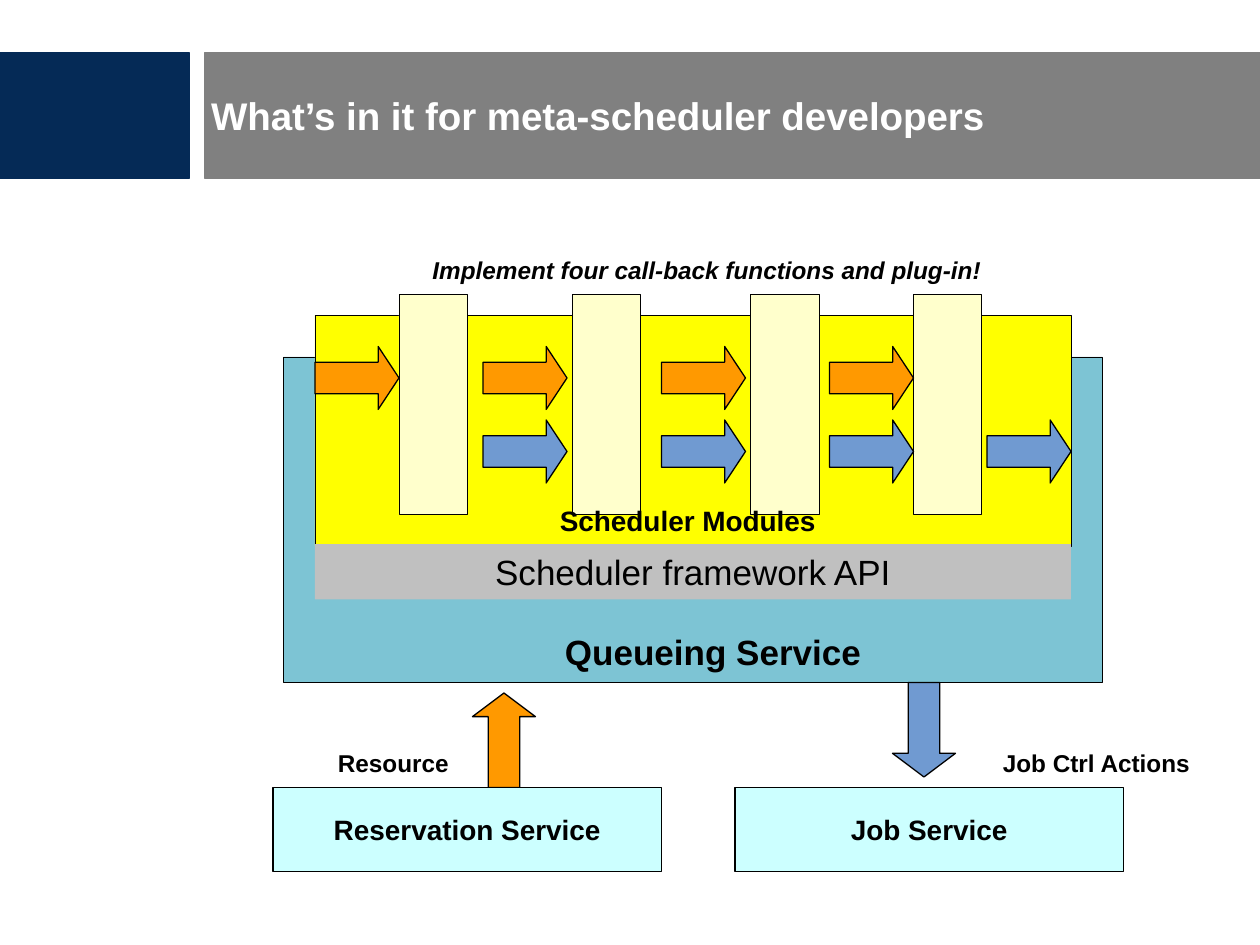
from pptx import Presentation
from pptx.dml.color import RGBColor
from pptx.enum.shapes import MSO_SHAPE
from pptx.enum.text import MSO_ANCHOR, MSO_AUTO_SIZE, PP_ALIGN
from pptx.util import Pt

RECT, RIGHT = MSO_SHAPE.RECTANGLE, MSO_SHAPE.RIGHT_ARROW
UP, DOWN = MSO_SHAPE.UP_ARROW, MSO_SHAPE.DOWN_ARROW
LEFT, CENTER = PP_ALIGN.LEFT, PP_ALIGN.CENTER
TOP, MIDDLE = MSO_ANCHOR.TOP, MSO_ANCHOR.MIDDLE

NAVY, GRAY, WHITE, BLACK = "052A56", "808080", "FFFFFF", "000000"
TEAL, YELLOW, CREAM, SILVER = "7DC4D4", "FFFF00", "FFFFCC", "C0C0C0"
ORANGE, BLUE, CYAN = "FF9900", "709AD1", "CCFFFF"

# Content: positions and sizes in points
TITLE = "What’s in it for meta-scheduler developers"
MODULE_LEFTS = [228, 327, 429, 522]
FLOWS = [  # colour, top, lefts of the arrows
    (ORANGE, 198, [180, 276, 378, 474]),
    (BLUE, 240, [276, 378, 474, 564]),
]
SERVICE_ARROWS = [(UP, ORANGE, 270, 396), (DOWN, BLUE, 510, 390)]
SERVICES = [("Reservation Service", 156), ("Job Service", 420)]
LABELS = [  # text, left, top, width, italic
    ("Resource", 186, 408, 78, False),
    ("Job Ctrl Actions", 566, 408, 122, False),
    ("Implement four call-back functions and plug-in!", 240, 126, 328, True),
]


def color(value):
    return RGBColor.from_string(value)


def paint(sp, fill, line, width):
    sp.fill.solid()
    sp.fill.fore_color.rgb = color(fill)
    if line:
        sp.line.color.rgb = color(line)
        sp.line.width = Pt(width)
    else:
        sp.line.fill.background()


def write(sp, text, size, fg=BLACK, bold=True, align=CENTER, anchor=MIDDLE,
          margins=(7.2, 3.6), wrap=False):
    tf = sp.text_frame
    tf.auto_size = MSO_AUTO_SIZE.NONE
    tf.word_wrap = wrap
    tf.vertical_anchor = anchor
    tf.margin_left = tf.margin_right = Pt(margins[0])
    tf.margin_top = tf.margin_bottom = Pt(margins[1])
    p = tf.paragraphs[0]
    p.text = text
    p.alignment = align
    p.font.name = "Arial"
    p.font.size = Pt(size)
    p.font.bold = bold
    p.font.color.rgb = color(fg)
    return p


def add_shape(kind, x, y, w, h, fill, line=BLACK, width=0.75):
    sp = s.shapes.add_shape(kind, Pt(x), Pt(y), Pt(w), Pt(h))
    sp.shadow.inherit = False
    paint(sp, fill, line, width)
    return sp


def add_arrow(kind, x, y, w, h, fill, head):
    sp = add_shape(kind, x, y, w, h, fill)
    sp.adjustments[0] = 0.5
    sp.adjustments[1] = head


def add_text(x, y, w, h, text, size, **style):
    sp = s.shapes.add_textbox(Pt(x), Pt(y), Pt(w), Pt(h))
    return write(sp, text, size, anchor=TOP, **style)


prs = Presentation()
prs.slide_width, prs.slide_height = Pt(720), Pt(540)
s = prs.slides.add_slide(prs.slide_layouts[5])

# Title band
add_shape(RECT, 0, 30, 108, 72, NAVY, NAVY, 1)
title = s.shapes.title
title.left, title.top, title.width, title.height = Pt(117), Pt(30), Pt(603), Pt(72)
paint(title, GRAY, GRAY, 1)
write(title, TITLE, 22, WHITE, align=LEFT, margins=(3.6, 0), wrap=True)

# Queueing service
add_shape(RECT, 162, 204, 468, 186, TEAL, width=0.37)
add_text(323, 360, 169, 24, "Queueing Service", 20, margins=(0, 0))
for kind, fill, x, y in SERVICE_ARROWS:
    add_arrow(kind, x, y, 36, 54, fill, 0.375)

# Scheduler modules
add_shape(RECT, 180, 180, 432, 132, YELLOW, width=0.37)
for x in MODULE_LEFTS:
    add_shape(RECT, x, 168, 39, 126, CREAM, width=0.37)
add_text(312, 288, 162, 19, "Scheduler Modules", 16, margins=(0, 0), wrap=True)
for fill, y, lefts in FLOWS:
    for x in lefts:
        add_arrow(RIGHT, x, y, 48, 36, fill, 0.33)

# Framework API bar
api = add_shape(RECT, 180, 311, 432, 31.5, SILVER, None)
write(api, "Scheduler framework API", 20, bold=False, wrap=True)

# Services underneath
for text, x in SERVICES:
    write(add_shape(RECT, x, 450, 222, 48, CYAN), text, 16)

# Labels, set as subscript
for text, x, y, w, italic in LABELS:
    p = add_text(x, y, w, 40, text, 24, align=LEFT)
    p.font.italic = italic
    p.runs[0]._r.get_or_add_rPr().set("baseline", "-25000")

prs.save("out.pptx")
